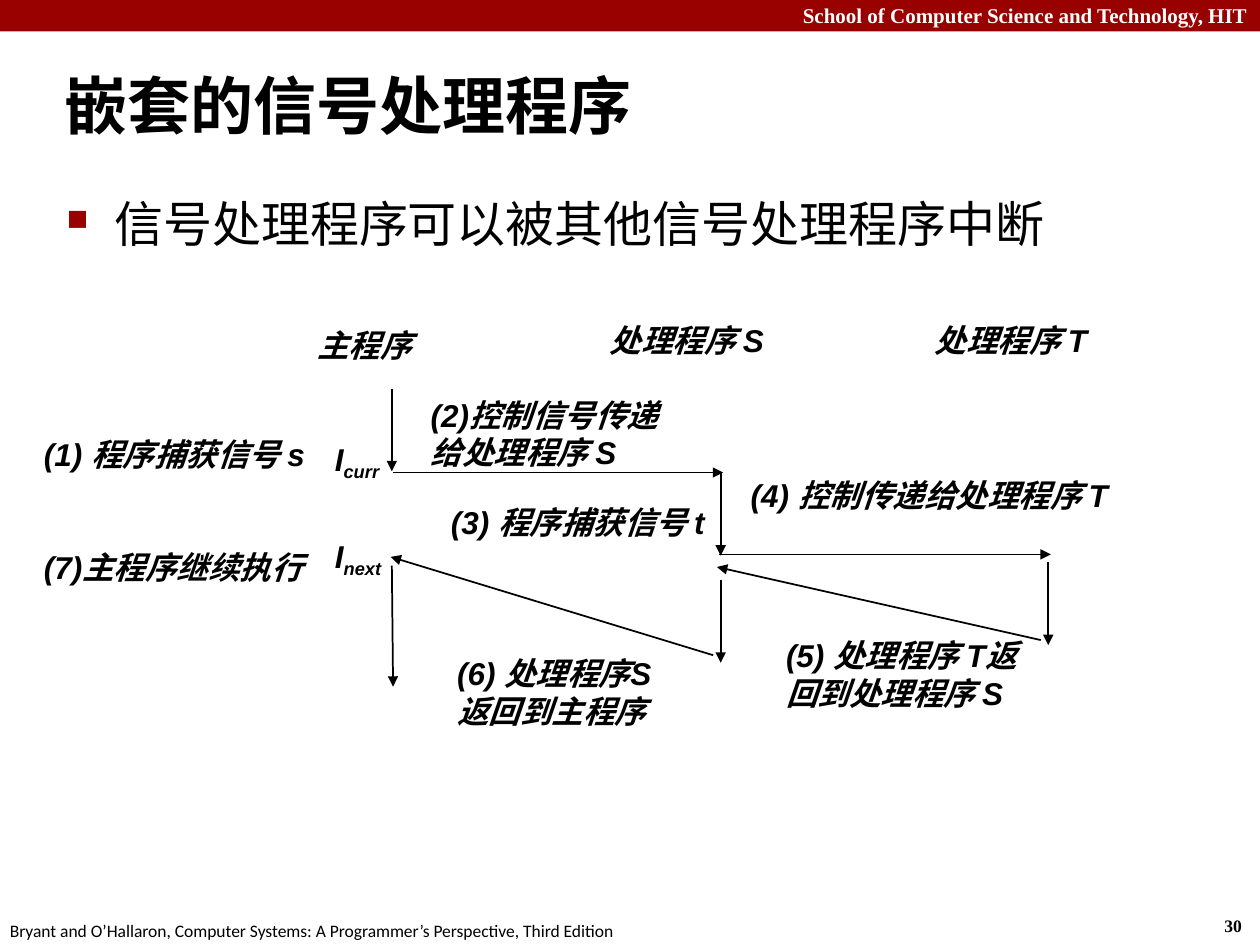
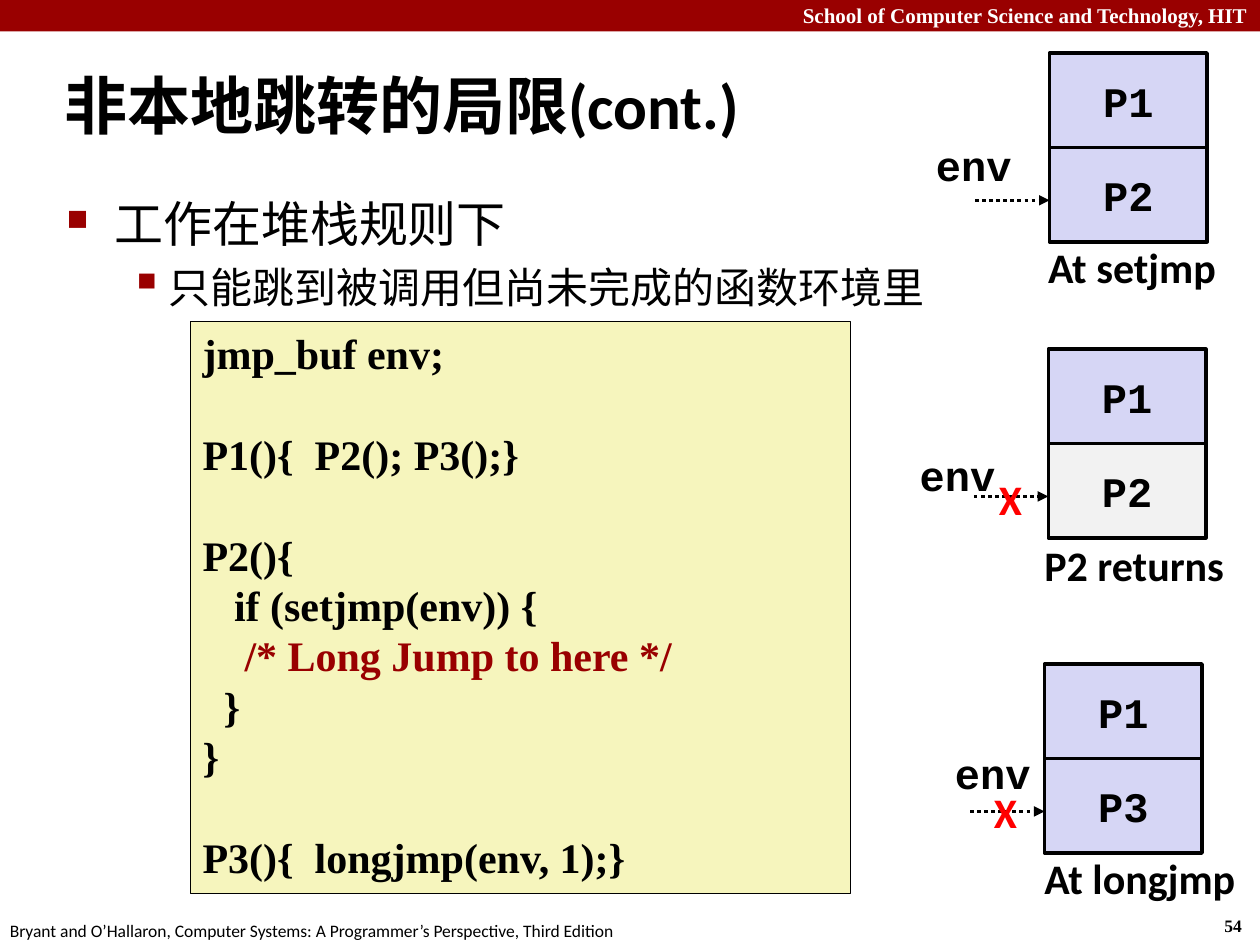
from dataclasses import dataclass, replace
from typing import NamedTuple

from lxml import etree
from pptx import Presentation
from pptx import util as u
from pptx.dml.color import RGBColor
from pptx.enum import dml, shapes as kinds, text as txt
from pptx.oxml.ns import qn

HUES = {
    "band": "990000",
    "black": "000000",
    "white": "FFFFFF",
    "code": "F6F5BD",
    "frame": "D6D6F5",
    "gone": "F2F2F2",
    "cross": "FF0000",
}


@dataclass(frozen=True)
class Style:
    font: str
    size: float
    bold: bool = True
    slant: bool = False
    hue: str = "black"
    align: txt.PP_ALIGN = txt.PP_ALIGN.LEFT


TITLE = Style("Calibri", 36)
BODY = Style("Times New Roman", 28, bold=False)
BANNER = Style("Times New Roman", 12, hue="white", align=txt.PP_ALIGN.RIGHT)
PAGE = Style("Times New Roman", 10)
SOURCE = Style("Calibri", 10, bold=False)
LABEL = Style("Arial", 18, slant=True)
CODE = Style("Times New Roman", 24)
MONO = Style("Courier New", 24)
FRAME = replace(MONO, align=txt.PP_ALIGN.CENTER)
STATE = Style("Calibri", 24)
CROSS = replace(STATE, hue="cross")


class Box(NamedTuple):
    left: float
    top: float
    width: float
    height: float


class Note(NamedTuple):
    box: Box
    words: str


class Line(NamedTuple):
    x1: float
    y1: float
    x2: float
    y2: float


class Point(NamedTuple):
    words: str
    size: float
    margin: float
    hang: float
    mark: str
    scale: int


class Stack(NamedTuple):
    """Two stack frames, the env pointer beside them and a caption."""
    left: float
    top: float
    lower: str
    fill: str
    env: Box
    state: Note
    cross: Box | None = None


def color(name: str) -> RGBColor:
    return RGBColor.from_string(HUES[name])


def inches(values: tuple) -> list:
    return [u.Inches(v) for v in values]


def style_para(para, style: Style) -> None:
    para.alignment = style.align
    for run in para.runs:
        font = run.font
        font.name, font.size = style.font, u.Pt(style.size)
        font.bold, font.italic = style.bold, style.slant
        font.color.rgb = color(style.hue)


def write(frame, words: str, style: Style) -> None:
    frame.text = words
    for para in frame.paragraphs:
        style_para(para, style)


def add_text(shapes, box: Box, words: str, style: Style, wrap: bool = True, grow: bool = True):
    frame = shapes.add_textbox(*inches(box)).text_frame
    frame.word_wrap = wrap
    if grow:
        frame.auto_size = txt.MSO_AUTO_SIZE.SHAPE_TO_FIT_TEXT
    write(frame, words, style)
    return frame


def add_rect(shapes, box: Box, fill: str, edge: float = 0):
    rect = shapes.add_shape(kinds.MSO_SHAPE.RECTANGLE, *inches(box))
    rect.shadow.inherit = False
    rect.fill.solid()
    rect.fill.fore_color.rgb = color(fill)
    if edge:
        rect.line.color.rgb = color("black")
        rect.line.width = u.Pt(edge)
    else:
        rect.line.fill.background()
    return rect


def add_arrow(shapes, ends: Line, width: float = 1, dotted: bool = False) -> None:
    arrow = shapes.add_connector(kinds.MSO_CONNECTOR.STRAIGHT, *inches(ends))
    arrow.line.color.rgb = color("black")
    arrow.line.width = u.Pt(width)
    if dotted:
        arrow.line.dash_style = dml.MSO_LINE.ROUND_DOT
    stroke = arrow.line._get_or_add_ln()
    etree.SubElement(stroke, qn("a:tailEnd"), type="triangle")
    etree.SubElement(arrow._element.spPr, qn("a:effectLst"))


def add_mark(para, point: Point) -> None:
    """Give the paragraph its bullet and hanging indent."""
    props = para._p.get_or_add_pPr()
    props.set("marL", str(u.Inches(point.margin)))
    props.set("indent", str(-u.Inches(point.hang)))
    hue = etree.SubElement(props, qn("a:buClr"))
    etree.SubElement(hue, qn("a:srgbClr"), val=HUES["band"])
    etree.SubElement(props, qn("a:buSzPct"), val=str(point.scale * 1000))
    etree.SubElement(props, qn("a:buChar"), char=point.mark)


def main_point(words: str) -> Point:
    return Point(words, 28, 0.38, 0.38, "■", 60)


def sub_point(words: str) -> Point:
    return Point(words, 24, 0.81, 0.31, "▪", 110)


def add_points(shapes, points: list[Point]) -> None:
    frame = add_text(shapes, Box(0.43, 1.49, 9.4, 5.76),
                     "\n".join(p.words for p in points), BODY, grow=False)
    for i, (para, point) in enumerate(zip(frame.paragraphs, points)):
        add_mark(para, point)
        style_para(para, replace(BODY, size=point.size))
        if i:
            para.space_before = u.Pt(point.size * 0.2)


def add_slide(deck, title: str, page: int, points: list[Point]):
    """Add a slide with band, footer, title and bullets; return its shapes."""
    shapes = deck.slides.add_slide(deck.slide_layouts[6]).shapes
    add_rect(shapes, Box(0, 0, 10, 0.25), "band")
    add_text(shapes, Box(9.62, 7.21, 0.37, 0.27), str(page), PAGE, wrap=False)
    add_text(shapes, Box(-0.02, 7.25, 5.08, 0.27),
             "Bryant and O’Hallaron, Computer Systems: "
             "A Programmer’s Perspective, Third Edition", SOURCE, wrap=False)
    add_text(shapes, Box(0, -0.03, 10, 0.3),
             "School of Computer Science and Technology, HIT", BANNER)
    add_points(shapes, points)
    head = add_text(shapes, Box(0.41, 0.41, 9.51, 0.83), title, TITLE, grow=False)
    head.vertical_anchor = txt.MSO_ANCHOR.MIDDLE
    return shapes


NOTES = [
    Note(Box(2.42, 2.54, 1.27, 0.4), "主程序"),
    Note(Box(4.74, 2.5, 1.76, 0.4), "处理程序 S"),
    Note(Box(7.32, 2.5, 1.75, 0.4), "处理程序 T"),
    Note(Box(0.25, 3.4, 2.32, 0.4), "(1) 程序捕获信号 s"),
    Note(Box(3.32, 3.09, 2.24, 0.7), "(2)控制信号传递给处理程序 S"),
    Note(Box(3.48, 3.94, 2.24, 0.4), "(3) 程序捕获信号 t"),
    Note(Box(5.86, 3.73, 3.05, 0.4), "(4) 控制传递给处理程序 T"),
    Note(Box(6.14, 5, 2.2, 0.7), "(5) 处理程序 T返回到处理程序 S"),
    Note(Box(3.53, 5.14, 1.95, 0.7), "(6) 处理程序S\n返回到主程序"),
    Note(Box(0.25, 4.3, 2.32, 0.4), "(7)主程序继续执行"),
]

STEPS = [
    Line(3.11, 3.09, 3.11, 3.74),
    Line(3.12, 3.75, 5.74, 3.75),
    Line(5.72, 3.75, 5.72, 4.41),
    Line(5.71, 4.4, 8.34, 4.4),
    Line(8.32, 4.46, 8.32, 5.12),
    Line(8.26, 5.08, 5.69, 4.5),
    Line(5.72, 4.6, 5.72, 5.26),
    Line(5.66, 5.2, 3.1, 4.42),
    Line(3.11, 4.49, 3.12, 5.45),
]

INDEXED = [
    Note(Box(2.56, 3.44, 0.6, 0.4), "curr"),
    Note(Box(2.56, 4.21, 0.62, 0.4), "next"),
]


def build_nested(deck) -> None:
    shapes = add_slide(deck, "嵌套的信号处理程序", 30,
                       [main_point("信号处理程序可以被其他信号处理程序中断")])
    for step in STEPS:
        add_arrow(shapes, step)
    for note in NOTES:
        add_text(shapes, note.box, note.words, LABEL)
    for note in INDEXED:
        para = add_text(shapes, note.box, "I", LABEL, wrap=False).paragraphs[0]
        index = para.add_run()
        index.text = note.words
        style_para(para, LABEL)
        index._r.get_or_add_rPr().set("baseline", "-25000")


REMARK = "    /* Long Jump to here */"
BLOCKS = [
    ["jmp_buf env;"],
    ["P1(){  P2(); P3();}"],
    ["P2(){", "   if (setjmp(env)) {", REMARK, "  }", "}"],
    ["P3(){  longjmp(env, 1);}"],
]
LEAD = 28.8

STACKS = [
    Stack(8.33, 0.42, "P2", "frame", Box(7.33, 1.06, 0.81, 0.51),
          Note(Box(8.22, 1.87, 1.55, 0.51), "At setjmp")),
    Stack(8.32, 2.77, "P2", "gone", Box(7.2, 3.52, 0.81, 0.51),
          Note(Box(8.19, 4.23, 1.64, 0.51), "P2 returns"), Box(7.83, 3.71, 0.39, 0.51)),
    Stack(8.29, 5.27, "P3", "frame", Box(7.48, 5.88, 0.81, 0.51),
          Note(Box(8.19, 6.72, 1.73, 0.51), "At longjmp"), Box(7.79, 6.19, 0.39, 0.51)),
]


def add_code(shapes) -> None:
    frame = add_rect(shapes, Box(1.51, 2.55, 5.24, 4.54), "code", 0.25).text_frame
    frame.word_wrap = True
    frame.vertical_anchor = txt.MSO_ANCHOR.TOP
    write(frame, "\n".join(line for block in BLOCKS for line in block), CODE)
    starts = [block[0] for block in BLOCKS[1:]]
    for para in frame.paragraphs:
        para.line_spacing = u.Pt(LEAD)
        if para.text in starts:
            para.space_before = u.Pt(LEAD)
        if para.text == REMARK:
            style_para(para, replace(CODE, hue="band"))


def add_stack(shapes, stack: Stack) -> None:
    parts = shapes.add_group_shape().shapes
    width, height = 1.25, 0.75
    for row, (name, fill) in enumerate([("P1", "frame"), (stack.lower, stack.fill)]):
        box = Box(stack.left, stack.top + row * height, width, height)
        frame = add_rect(parts, box, fill, 2).text_frame
        frame.word_wrap = False
        frame.vertical_anchor = txt.MSO_ANCHOR.MIDDLE
        write(frame, name, FRAME)
    level = stack.top + 1.17
    add_arrow(parts, Line(stack.left - 0.59, level, stack.left, level), 2, dotted=True)
    add_text(parts, stack.env, "env", MONO, wrap=False)
    add_text(parts, stack.state.box, stack.state.words, STATE, wrap=False)
    if stack.cross:
        add_text(parts, stack.cross, "X", CROSS, wrap=False)


def build_limits(deck) -> None:
    shapes = add_slide(deck, "非本地跳转的局限(cont.)", 54, [
        main_point("工作在堆栈规则下"),
        sub_point("只能跳到被调用但尚未完成的函数环境里"),
    ])
    add_code(shapes)
    for stack in STACKS:
        add_stack(shapes, stack)


def main() -> None:
    deck = Presentation()
    deck.slide_width, deck.slide_height = u.Inches(10), u.Inches(7.5)
    build_nested(deck)
    build_limits(deck)
    deck.save("out.pptx")


if __name__ == "__main__":
    main()
